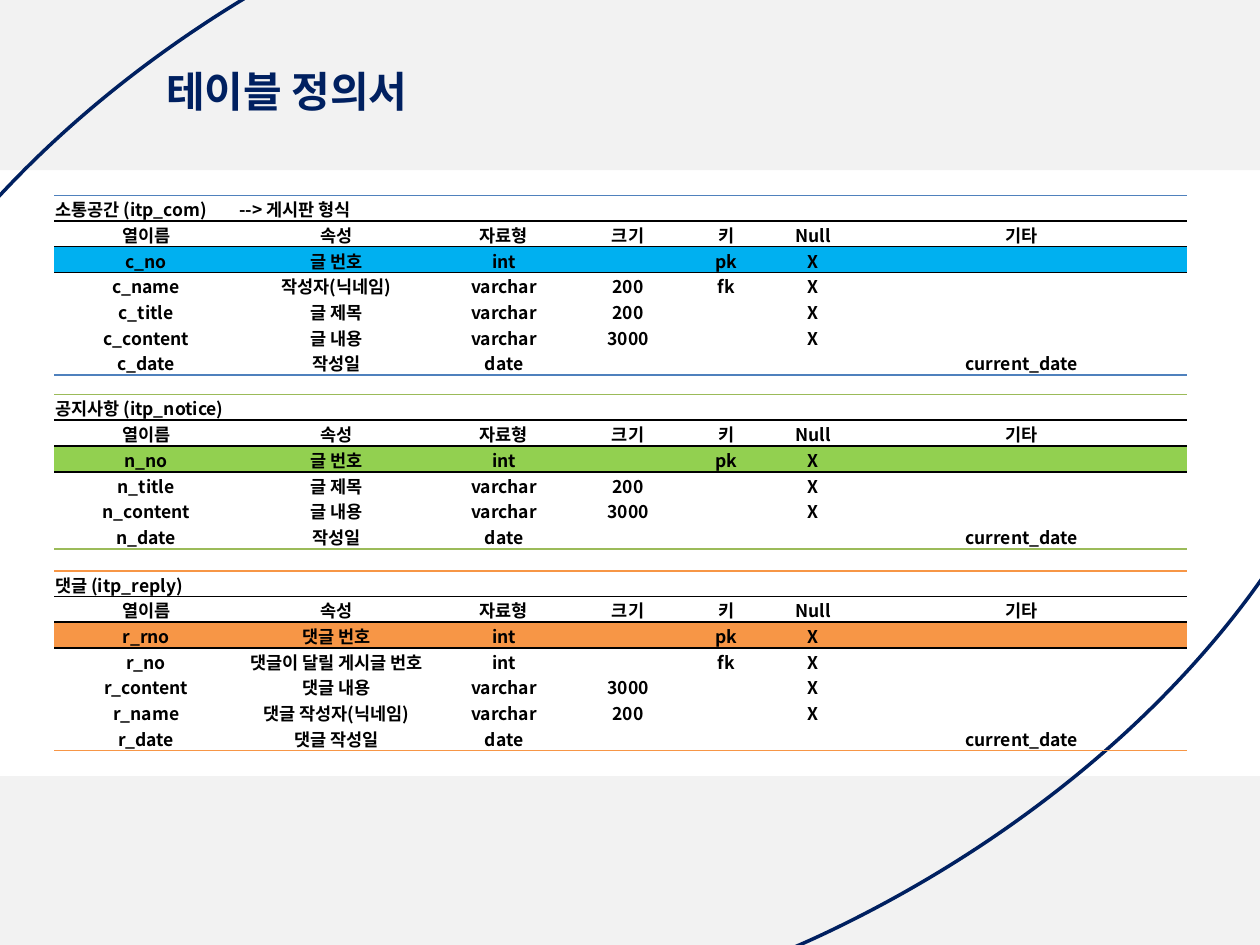
from lxml.etree import SubElement
from pptx import Presentation
from pptx.dml.color import RGBColor
from pptx.enum.shapes import MSO_SHAPE
from pptx.enum.text import MSO_ANCHOR, MSO_AUTO_SIZE, PP_ALIGN
from pptx.oxml.ns import qn
from pptx.util import Inches, Pt

FONT = "Noto Sans CJK KR"
NAVY = "002060"
BLACK = "000000"
NO_GRID_STYLE = "{2D5ABB26-0587-4C30-8999-92F81FD0307C}"
COLUMN_WIDTHS = [1.46, 1.56, 1.1, 0.87, 0.69, 0.69, 2.62]
HEADINGS = ["열이름", "속성", "자료형", "크기", "키", "Null", "기타"]

DEFINITIONS = [
    {
        "box": (0.43, 1.55, 9, 1.43), "rule": "4F81BD", "highlight": "00B0F0",
        "caption": ["소통공간 (itp_com)", "--> 게시판 형식"],
        "rows": [
            ["c_no", "글 번호", "int", "", "pk", "X", ""],
            ["c_name", "작성자(닉네임)", "varchar", "200", "fk", "X", ""],
            ["c_title", "글 제목", "varchar", "200", "", "X", ""],
            ["c_content", "글 내용", "varchar", "3000", "", "X", ""],
            ["c_date", "작성일", "date", "", "", "", "current_date"],
        ],
    },
    {
        "box": (0.43, 3.13, 9, 1.23), "rule": "9BBB59", "highlight": "92D050",
        "caption": ["공지사항 (itp_notice)"],
        "rows": [
            ["n_no", "글 번호", "int", "", "pk", "X", ""],
            ["n_title", "글 제목", "varchar", "200", "", "X", ""],
            ["n_content", "글 내용", "varchar", "3000", "", "X", ""],
            ["n_date", "작성일", "date", "", "", "", "current_date"],
        ],
    },
    {
        "box": (0.43, 4.53, 9, 1.43), "rule": "F79646", "highlight": "F79646",
        "caption": ["댓글 (itp_reply)"],
        "rows": [
            ["r_rno", "댓글 번호", "int", "", "pk", "X", ""],
            ["r_no", "댓글이 달릴 게시글 번호", "int", "", "fk", "X", ""],
            ["r_content", "댓글 내용", "varchar", "3000", "", "X", ""],
            ["r_name", "댓글 작성자(닉네임)", "varchar", "200", "", "X", ""],
            ["r_date", "댓글 작성일", "date", "", "", "", "current_date"],
        ],
    },
]


def color(value):
    return RGBColor.from_string(value)


def inches(box):
    return [Inches(length) for length in box]


def write_text(frame, text, size=10, fill=BLACK, align=PP_ALIGN.LEFT):
    paragraph = frame.paragraphs[0]
    paragraph.alignment = align
    if not text:
        SubElement(paragraph._p, qn("a:endParaRPr"), sz=str(size * 100))
        return
    run = paragraph.add_run()
    run.text = text
    run.font.name = FONT
    run.font.size = Pt(size)
    run.font.bold = True
    run.font.color.rgb = color(fill)
    SubElement(run.font._element, qn("a:ea"), typeface=FONT)


def add_outline_shape(slide, kind, box, fill=None, line=None):
    shape = slide.shapes.add_shape(kind, *inches(box))
    shape.shadow.inherit = False
    if fill:
        shape.fill.solid()
        shape.fill.fore_color.rgb = color(fill)
    else:
        shape.fill.background()
    if line:
        shape.line.color.rgb = color(line)
        shape.line.width = Pt(2)
    else:
        shape.line.fill.background()
    return shape


def add_background(slide, box):
    left, top, width, height = box
    band_height = 1.35
    for band_top in (top, top + height - band_height + 0.01):
        add_outline_shape(slide, MSO_SHAPE.RECTANGLE,
                          (left, band_top, width, band_height), fill="F2F2F2")
    curve = add_outline_shape(slide, MSO_SHAPE.TEAR,
                              (left - 1.94, top - 0.91, 13.27, 8.73), line=NAVY)
    curve.adjustments[0] = 0.69
    curve.rotation = 154.5


def add_title(slide, box):
    frame = slide.shapes.add_textbox(*inches(box)).text_frame
    frame.word_wrap = False
    frame.auto_size = MSO_AUTO_SIZE.SHAPE_TO_FIT_TEXT
    frame.margin_top = frame.margin_bottom = 0
    write_text(frame, "테이블 정의서", size=24, fill=NAVY)


def add_border(cell, side, value):
    line = SubElement(cell._tc.get_or_add_tcPr(), qn(f"a:{side}"), w=str(Pt(1)))
    SubElement(SubElement(line, qn("a:solidFill")), qn("a:srgbClr"), val=value)


def format_cell(cell, text, align, top=None, bottom=None, fill=None):
    cell.margin_left = cell.margin_right = cell.margin_top = Inches(0.01)
    cell.margin_bottom = 0
    cell.vertical_anchor = MSO_ANCHOR.MIDDLE
    write_text(cell.text_frame, text, align=align)
    if top:
        add_border(cell, "lnT", top)
    if bottom:
        add_border(cell, "lnB", bottom)
    if fill:
        cell.fill.solid()
        cell.fill.fore_color.rgb = color(fill)
    else:
        cell.fill.background()


def add_definition_table(slide, box, rule, highlight, caption, rows):
    padding = [""] * (len(HEADINGS) - len(caption))
    content = [caption + padding, HEADINGS] + rows
    last = len(content) - 1
    table = slide.shapes.add_table(len(content), len(HEADINGS), *inches(box)).table
    table.first_row = table.horz_banding = False
    table._tbl.tblPr.find(qn("a:tableStyleId")).text = NO_GRID_STYLE
    for column, width in zip(table.columns, COLUMN_WIDTHS):
        column.width = Inches(width)
    tops = {0: rule, 1: BLACK, 2: BLACK}
    bottoms = {0: BLACK, 1: BLACK, last: rule}
    for row_index, texts in enumerate(content):
        table.rows[row_index].height = Inches(box[3] / len(content))
        for column_index, text in enumerate(texts):
            format_cell(table.cell(row_index, column_index), text,
                        align=PP_ALIGN.CENTER if row_index else PP_ALIGN.LEFT,
                        top=tops.get(row_index), bottom=bottoms.get(row_index),
                        fill=highlight if row_index == 2 else None)


def main():
    presentation = Presentation()
    presentation.slide_width = Inches(10)
    presentation.slide_height = Inches(7.5)
    slide = presentation.slides.add_slide(presentation.slide_layouts[6])
    add_background(slide, (0, 0, 10, 7.5))
    add_title(slide, (1.22, 0.52, 2.27, 0.49))
    for definition in DEFINITIONS:
        add_definition_table(slide, **definition)
    presentation.save("out.pptx")


if __name__ == "__main__":
    main()
